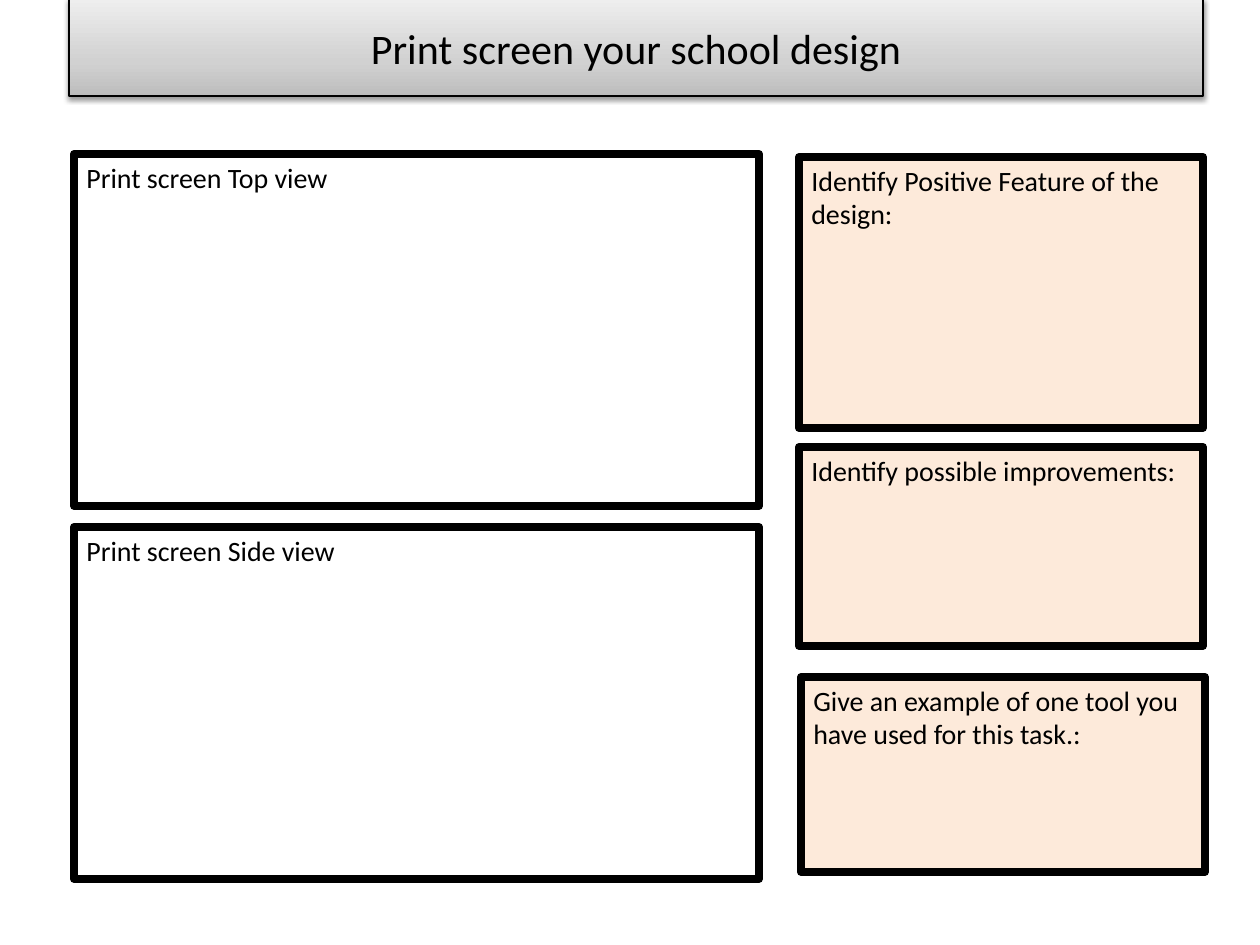
from lxml.etree import fromstring
from pptx import Presentation
from pptx.dml.color import RGBColor
from pptx.enum.text import MSO_ANCHOR, MSO_AUTO_SIZE, PP_ALIGN
from pptx.oxml.ns import nsdecls
from pptx.util import Emu, Pt

PX = 914400 / 126
COLORS = {
    "ink": "000000",
    "view": "FFFFFF",
    "question": "FDEADA",
    "title_bottom": "BDBDBD",
    "title_middle": "D1D1D1",
    "title_top": "EEEEEE",
}


def px(length):
    return Emu(round(length * PX))


def write_text(shape, text, size=16, align=PP_ALIGN.LEFT, anchor=MSO_ANCHOR.TOP, line=4.5):
    """Put formatted text in a shape and outline the shape."""
    frame = shape.text_frame
    frame.word_wrap = True
    frame.auto_size = MSO_AUTO_SIZE.NONE
    frame.vertical_anchor = anchor
    para = frame.paragraphs[0]
    para.alignment = align
    span = para.add_run()
    span.text = text
    span.font.name = "Calibri"
    span.font.size = Pt(size)
    span.font.color.rgb = RGBColor.from_string(COLORS["ink"])
    shape.line.color.rgb = RGBColor.from_string(COLORS["ink"])
    shape.line.width = Pt(line)


deck = Presentation()
deck.slide_width, deck.slide_height = px(1260), px(945)
page = deck.slides.add_slide(deck.slide_layouts[5])

# Answer boxes: text, fill, left, top, width, height
boxes = [
    ("Identify Positive Feature of the design:", "question", 799, 157, 404, 271),
    ("Identify possible improvements:", "question", 799, 447, 404, 199),
    ("Give an example of one tool you have used for this task.:", "question", 801, 677, 404, 195),
    ("Print screen Top view", "view", 74, 154, 685, 352),
    ("Print screen Side view", "view", 74, 527, 685, 352),
]
for text, fill, *place in boxes:
    box = page.shapes.add_textbox(*map(px, place))
    box.fill.solid()
    box.fill.fore_color.rgb = RGBColor.from_string(COLORS[fill])
    write_text(box, text)

# Title bar, in front of the boxes
title = page.shapes.title
title.left, title.top, title.width, title.height = map(px, (69, -1, 1134, 97))
write_text(title, "Print screen your school design", size=24,
           align=PP_ALIGN.CENTER, anchor=MSO_ANCHOR.MIDDLE, line=0.75)
stops = "".join(
    f'<a:gs pos="{position * 1000}"><a:srgbClr val="{COLORS[name]}"/></a:gs>'
    for position, name in ((0, "title_bottom"), (35, "title_middle"), (100, "title_top"))
)
gradient = fromstring(
    f'<a:gradFill {nsdecls("a")} rotWithShape="1"><a:gsLst>{stops}</a:gsLst>'
    '<a:lin ang="16200000" scaled="1"/></a:gradFill>'
)
shadow = fromstring(
    f'<a:effectLst {nsdecls("a")}><a:outerShdw blurRad="{Pt(3.1)}" dist="{Pt(1.6)}" '
    f'dir="5400000" rotWithShape="0"><a:srgbClr val="{COLORS["ink"]}">'
    '<a:alpha val="38000"/></a:srgbClr></a:outerShdw></a:effectLst>'
)
title.line._ln.addprevious(gradient)
title.line._ln.addnext(shadow)
page.shapes._spTree.append(title._element)

deck.save("out.pptx")
